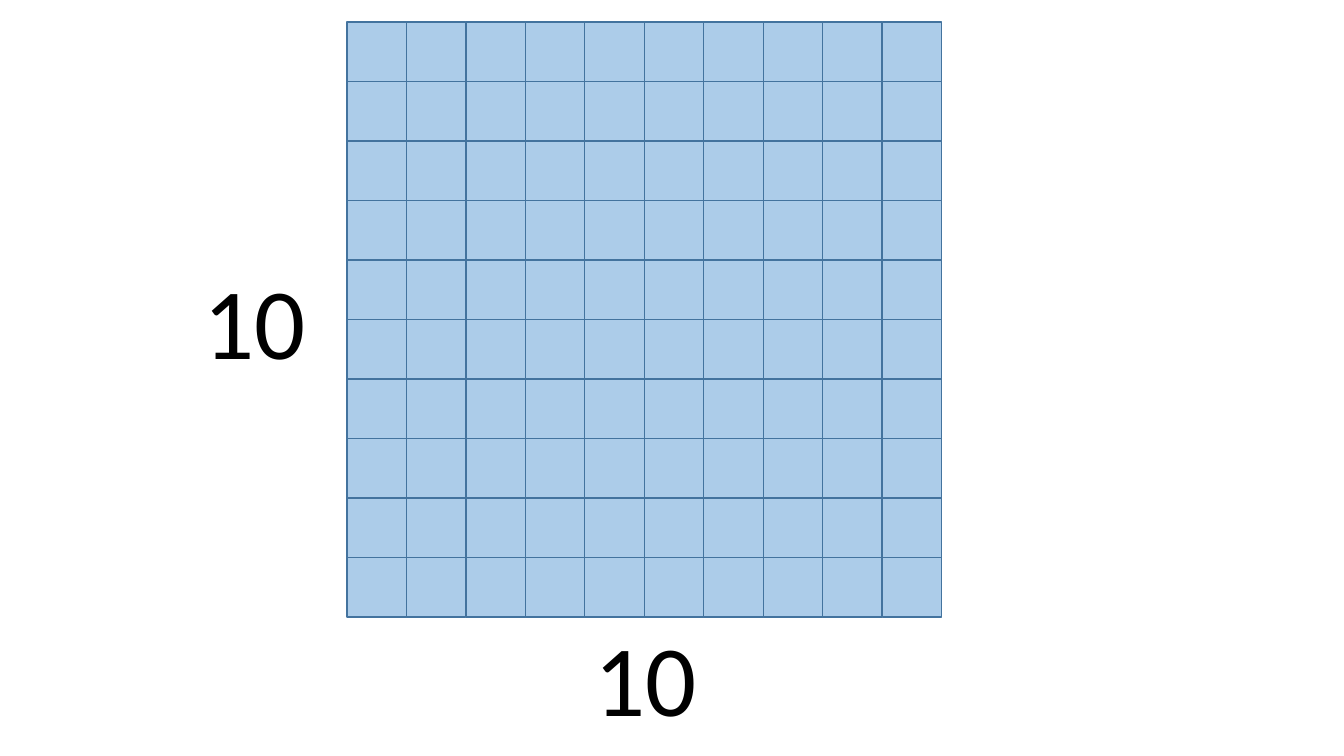
import pptx
import pptx.dml.color
import pptx.enum.shapes
import pptx.enum.text
import pptx.oxml.ns
import pptx.util
import lxml.etree
from dataclasses import dataclass


@dataclass(frozen=True)
class Theme:
    cell_fill: str = "5B9BD5"
    cell_line: str = "43739E"
    text: str = "000000"
    font: str = "Calibri"
    label_size: int = 72
    line_width: int = 1
    cell_opacity: int = 50


theme = Theme()
inches = pptx.util.Inches
color = pptx.dml.color.RGBColor.from_string

# Deck and page
deck = pptx.Presentation()
deck.slide_width, deck.slide_height = inches(13.33), inches(7.5)
page = deck.slides.add_slide(deck.slide_layouts[6])

# Grid of unit squares
COUNT = 10
CELL = 0.59
GRID_LEFT, GRID_TOP = 3.44, 0.22

for row in range(COUNT):
    for column in range(COUNT):
        square = page.shapes.add_shape(
            pptx.enum.shapes.MSO_SHAPE.RECTANGLE,
            inches(GRID_LEFT + column * CELL), inches(GRID_TOP + row * CELL),
            inches(CELL), inches(CELL))
        square.shadow.inherit = False
        square.fill.solid()
        square.fill.fore_color.rgb = color(theme.cell_fill)
        square.line.color.rgb = color(theme.cell_line)
        square.line.width = pptx.util.Pt(theme.line_width)
        # Half-transparent fill
        fill_color = square.fill._xPr.find(".//" + pptx.oxml.ns.qn("a:srgbClr"))
        alpha = lxml.etree.SubElement(fill_color, pptx.oxml.ns.qn("a:alpha"))
        alpha.set("val", str(theme.cell_opacity * 1000))

# Side lengths: beside the grid and below it
LABEL_WIDTH, LABEL_HEIGHT = 1.23, 1.31
side_labels = [
    (GRID_LEFT - LABEL_WIDTH - 0.29, 2.52),
    (GRID_LEFT + 4 * CELL, 6.06),
]
for left, top in side_labels:
    box = page.shapes.add_textbox(
        inches(left), inches(top), inches(LABEL_WIDTH), inches(LABEL_HEIGHT))
    box.text_frame.word_wrap = False
    box.text_frame.auto_size = pptx.enum.text.MSO_AUTO_SIZE.SHAPE_TO_FIT_TEXT
    para = box.text_frame.paragraphs[0]
    span = para.add_run()
    span.text = str(COUNT)
    span.font.name = theme.font
    span.font.size = pptx.util.Pt(theme.label_size)
    span.font.color.rgb = color(theme.text)

deck.save("out.pptx")
